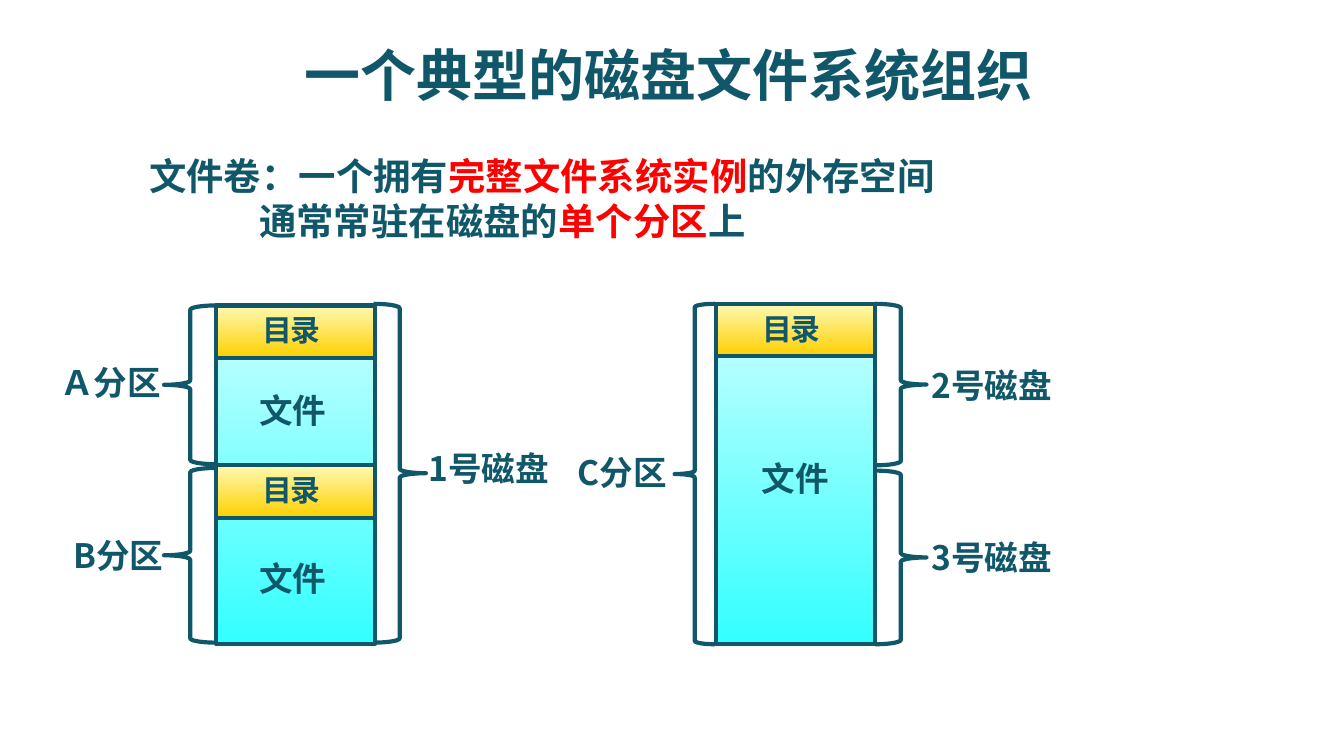
from lxml.etree import SubElement
from pptx import Presentation
from pptx.dml.color import RGBColor
from pptx.enum.shapes import MSO_SHAPE as Kind
from pptx.enum.text import MSO_ANCHOR as Anchor, PP_ALIGN as Align
from pptx.oxml.ns import qn
from pptx.util import Cm, Pt

FACE = "Noto Sans CJK SC"
TEAL, RED = "11576A", "FF0000"
GOLD = ("FFF9B1", "FDD000")
CYAN = ("CCFFFF", "33FFFF")
WIDE, HEAD = 3, 0.99  # column width and directory height, cm


def color(code):
    return RGBColor.from_string(code)


def style(para, size, space=None):
    """Set the bold teal face, with optional letter spacing in 1/100 pt."""
    font = para.font
    font.size, font.bold, font.name = Pt(size), True, FACE
    font.color.rgb = color(TEAL)
    props = para._p.pPr.find(qn("a:defRPr"))
    SubElement(props, qn("a:ea")).set("typeface", FACE)
    if space is not None:
        props.set("spc", str(space))


def place(shape, x, y, w, h):
    shape.left, shape.top = Cm(x), Cm(y)
    shape.width, shape.height = Cm(w), Cm(h)


def title(slide, text):
    shape = slide.shapes.title
    place(shape, 1.2, 0.64, 22.86, 1.42)
    frame = shape.text_frame
    frame.text = text
    frame.vertical_anchor = Anchor.TOP
    para = frame.paragraphs[0]
    para.alignment = Align.CENTER
    style(para, 30)


def label(slide, text, x, y, w, size=18, align=Align.LEFT, space=None):
    box = slide.shapes.add_textbox(Cm(x), Cm(y), Cm(w), Cm(1.02))
    box.text_frame.word_wrap = True
    para = box.text_frame.paragraphs[0]
    para.text, para.alignment = text, align
    style(para, size, space)


def intro(slide, lines):
    """Write lines of (indent, runs), each run a text and its colour."""
    box = slide.shapes.add_textbox(Cm(2.57), Cm(2.77), Cm(19.53), Cm(1.19))
    frame = box.text_frame
    frame.word_wrap = True
    for i, (indent, runs) in enumerate(lines):
        para = frame.add_paragraph() if i else frame.paragraphs[0]
        para._p.get_or_add_pPr().set("marL", str(Cm(indent)))
        style(para, 20)
        for text, code in runs:
            run = para.add_run()
            run.text = text
            run.font.color.rgb = color(code)


def outline(slide, kind, x, y, w, h):
    shape = slide.shapes.add_shape(kind, Cm(x), Cm(y), Cm(w), Cm(h))
    shape.shadow.inherit = False
    shape.line.color.rgb = color(TEAL)
    shape.line.width = Pt(2.25)
    return shape


def block(slide, x, y, h, shades):
    fill = outline(slide, Kind.RECTANGLE, x, y, WIDE, h).fill
    fill.gradient()
    fill.gradient_angle = 270
    for stop, code in zip(fill.gradient_stops, shades):
        stop.color.rgb = color(code)


def brace(slide, kind, x, y, w, h):
    outline(slide, kind, x, y, w, h).fill.background()


def column(slide, x, y, h, heads, files):
    """Draw a disk column with directories at heads and file labels at files."""
    block(slide, x, y, h, CYAN)
    for top in heads:
        block(slide, x, top, HEAD, GOLD)
        label(slide, "目录", x + 0.61, top, 1.63, 16, Align.CENTER, -100)
    for left, top in files:
        label(slide, "文件", left, top, 1.83)


def main():
    deck = Presentation()
    deck.slide_width, deck.slide_height = Cm(25.4), Cm(14.28)
    slide = deck.slides.add_slide(deck.slide_layouts[5])

    title(slide, "一个典型的磁盘文件系统组织")
    intro(slide, [
        (0, [("文件卷：一个拥有", TEAL), ("完整文件系统实例", RED),
             ("的外存空间", TEAL)]),
        (2.08, [("通常常驻在磁盘的", TEAL), ("单个分区", RED), ("上", TEAL)]),
    ])

    column(slide, 4.09, 5.77, 6.4, (5.77, 8.79), ((4.65, 7.24), (4.65, 10.41)))
    column(slide, 13.54, 5.74, 6.43, (5.74,), ((14.15, 8.53),))

    left, right = Kind.LEFT_BRACE, Kind.RIGHT_BRACE
    for kind, x, y, w, h in (
        (left, 3.1, 5.77, 0.99, 3),
        (left, 3.1, 8.84, 0.99, 3.3),
        (right, 7.06, 5.74, 0.99, 6.4),
        (left, 12.75, 5.74, 0.76, 6.43),
        (right, 16.54, 5.74, 0.97, 3.05),
        (right, 16.54, 8.89, 0.97, 3.28),
    ):
        brace(slide, kind, x, y, w, h)

    for text, x, y, w in (
        ("Ａ分区", 0.89, 6.71, 2.44),
        ("B分区", 1.14, 9.98, 2.21),
        ("C分区", 10.67, 8.41, 2.21),
        ("1号磁盘", 7.85, 8.33, 2.82),
        ("2号磁盘", 17.35, 6.76, 2.82),
        ("3号磁盘", 17.35, 10.01, 2.82),
    ):
        label(slide, text, x, y, w)

    deck.save("out.pptx")


if __name__ == "__main__":
    main()
